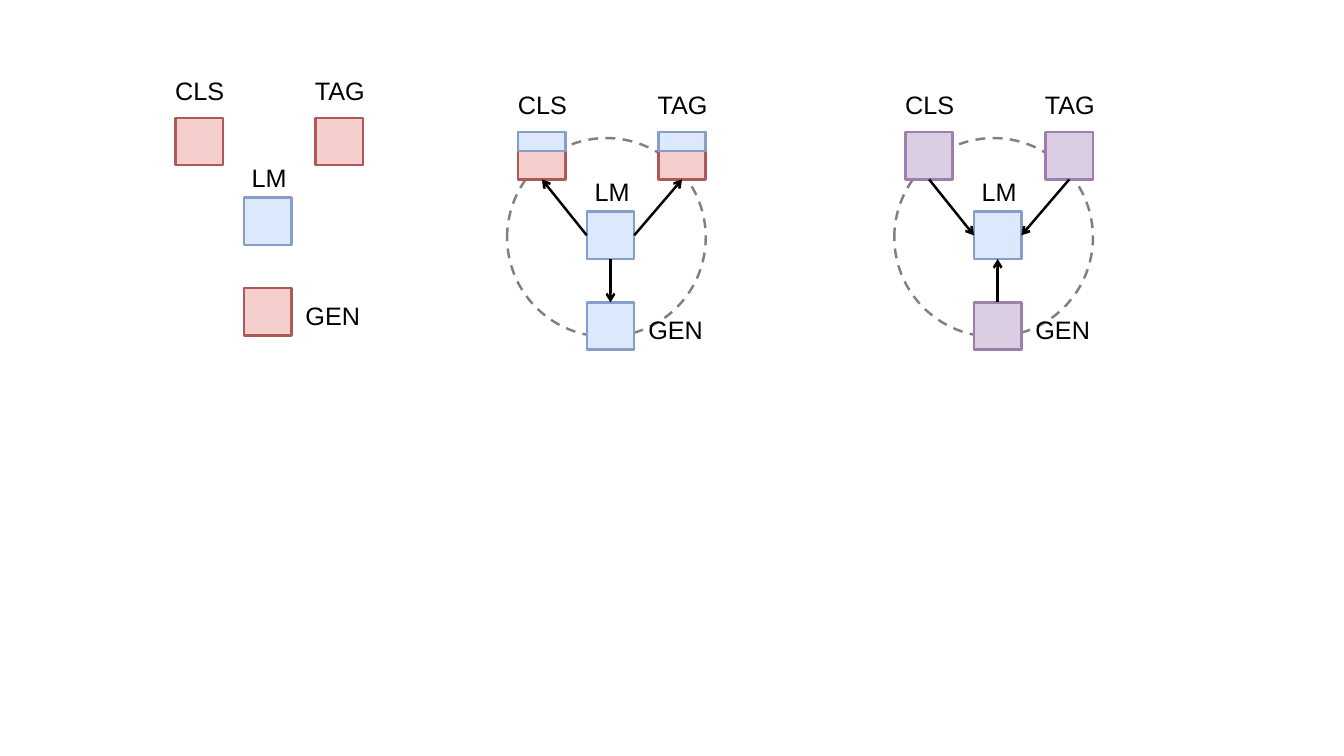
from lxml.etree import SubElement
from pptx import Presentation
from pptx.dml.color import RGBColor
from pptx.enum.dml import MSO_LINE
from pptx.enum.shapes import MSO_CONNECTOR, MSO_SHAPE
from pptx.enum.text import MSO_AUTO_SIZE, PP_ALIGN
from pptx.oxml.ns import qn
from pptx.util import Inches, Pt

BLACK = RGBColor(0x00, 0x00, 0x00)
GREY = RGBColor(0x80, 0x80, 0x80)
RED = (RGBColor(0xF4, 0xCF, 0xCD), RGBColor(0xAE, 0x59, 0x55))
BLUE = (RGBColor(0xDC, 0xE8, 0xFB), RGBColor(0x86, 0x9E, 0xC9))
PURPLE = (RGBColor(0xDB, 0xCE, 0xE2), RGBColor(0x9D, 0x7F, 0xAD))

SIDE = 0.47
HALF = SIDE / 2
BAND = 0.19
CIRCLE = (-0.11, 0.06, 1.97)
SQUARES = {"CLS": (0, 0), "TAG": (1.39, 0), "LM": (0.68, 0.79), "GEN": (0.68, 1.69)}
LABELS = {"CLS": (-0.17, -0.47), "TAG": (1.22, -0.47), "LM": (0.52, 0.39), "GEN": (1.15, 1.76)}
ARROWS = {
    "CLS": ((0, HALF), (HALF, SIDE)),
    "TAG": ((SIDE, HALF), (HALF, SIDE)),
    "GEN": ((HALF, SIDE), (HALF, 0)),
}
FONT = {"name": "Arial", "size": Pt(18)}


def set_all(target, values):
    """Set every attribute in a dict of format values."""
    for name, value in values.items():
        setattr(target, name, value)


def add_outline(shapes, kind, x, y, w, h, color):
    """Add an unshadowed preset shape with a coloured outline."""
    sp = shapes.add_shape(kind, Inches(x), Inches(y), Inches(w), Inches(h))
    sp.shadow.inherit = False
    sp.line.color.rgb = color
    sp.line.width = Pt(1.75)
    return sp


def add_box(shapes, x, y, colors, height=SIDE):
    """Add a filled task box."""
    fill, line = colors
    sp = add_outline(shapes, MSO_SHAPE.RECTANGLE, x, y, SIDE, height, line)
    sp.fill.solid()
    sp.fill.fore_color.rgb = fill


def add_circle(shapes, x, y, size):
    """Add a dashed circle without fill."""
    sp = add_outline(shapes, MSO_SHAPE.OVAL, x, y, size, size, GREY)
    sp.fill.background()
    sp.line.dash_style = MSO_LINE.DASH


def add_label(shapes, x, y, text):
    """Add a centred task name."""
    tf = shapes.add_textbox(Inches(x), Inches(y), Inches(0.82), Inches(0.4)).text_frame
    set_all(tf, {"word_wrap": True, "auto_size": MSO_AUTO_SIZE.SHAPE_TO_FIT_TEXT})
    p = tf.paragraphs[0]
    p.alignment = PP_ALIGN.CENTER
    r = p.add_run()
    r.text = text
    set_all(r.font, FONT)
    r.font.color.rgb = BLACK


def add_arrow(shapes, start, end):
    """Add a black arrow from start to end."""
    points = [Inches(v) for v in (*start, *end)]
    cxn = shapes.add_connector(MSO_CONNECTOR.STRAIGHT, *points)
    cxn.line.color.rgb = BLACK
    cxn.line.width = Pt(1.75)
    SubElement(cxn.line._get_or_add_ln(), qn("a:tailEnd"), type="arrow")
    SubElement(cxn._element.spPr, qn("a:effectLst"))


def add_panel(shapes, x, y, colors, banded=(), circle=False, flow=None):
    """Add one stage of the task diagram with its origin at the CLS box."""
    if circle:
        dx, dy, size = CIRCLE
        add_circle(shapes, x + dx, y + dy, size)
    for task, (dx, dy) in SQUARES.items():
        add_box(shapes, x + dx, y + dy, colors.get(task, BLUE))
        if task in banded:
            add_box(shapes, x + dx, y + dy, BLUE, BAND)
    for task, (dx, dy) in LABELS.items():
        add_label(shapes, x + dx, y + dy, task)
    if flow:
        lm_x, lm_y = SQUARES["LM"]
        for task, ((ax, ay), (bx, by)) in ARROWS.items():
            task_x, task_y = SQUARES[task]
            ends = [(x + lm_x + ax, y + lm_y + ay), (x + task_x + bx, y + task_y + by)]
            add_arrow(shapes, *(ends if flow == "out" else reversed(ends)))


def main():
    """Build the slide with the three stages."""
    prs = Presentation()
    set_all(prs, {"slide_width": Inches(13.33), "slide_height": Inches(7.5)})
    s = prs.slides.add_slide(prs.slide_layouts[6])
    tasks = ("CLS", "TAG", "GEN")
    heads = ("CLS", "TAG")
    add_panel(s.shapes.add_group_shape().shapes, 1.74, 1.17, dict.fromkeys(tasks, RED))
    add_panel(s.shapes, 5.14, 1.31, dict.fromkeys(heads, RED), heads, True, "out")
    add_panel(s.shapes, 8.98, 1.31, dict.fromkeys(tasks, PURPLE), circle=True, flow="in")
    prs.save("out.pptx")


if __name__ == "__main__":
    main()
